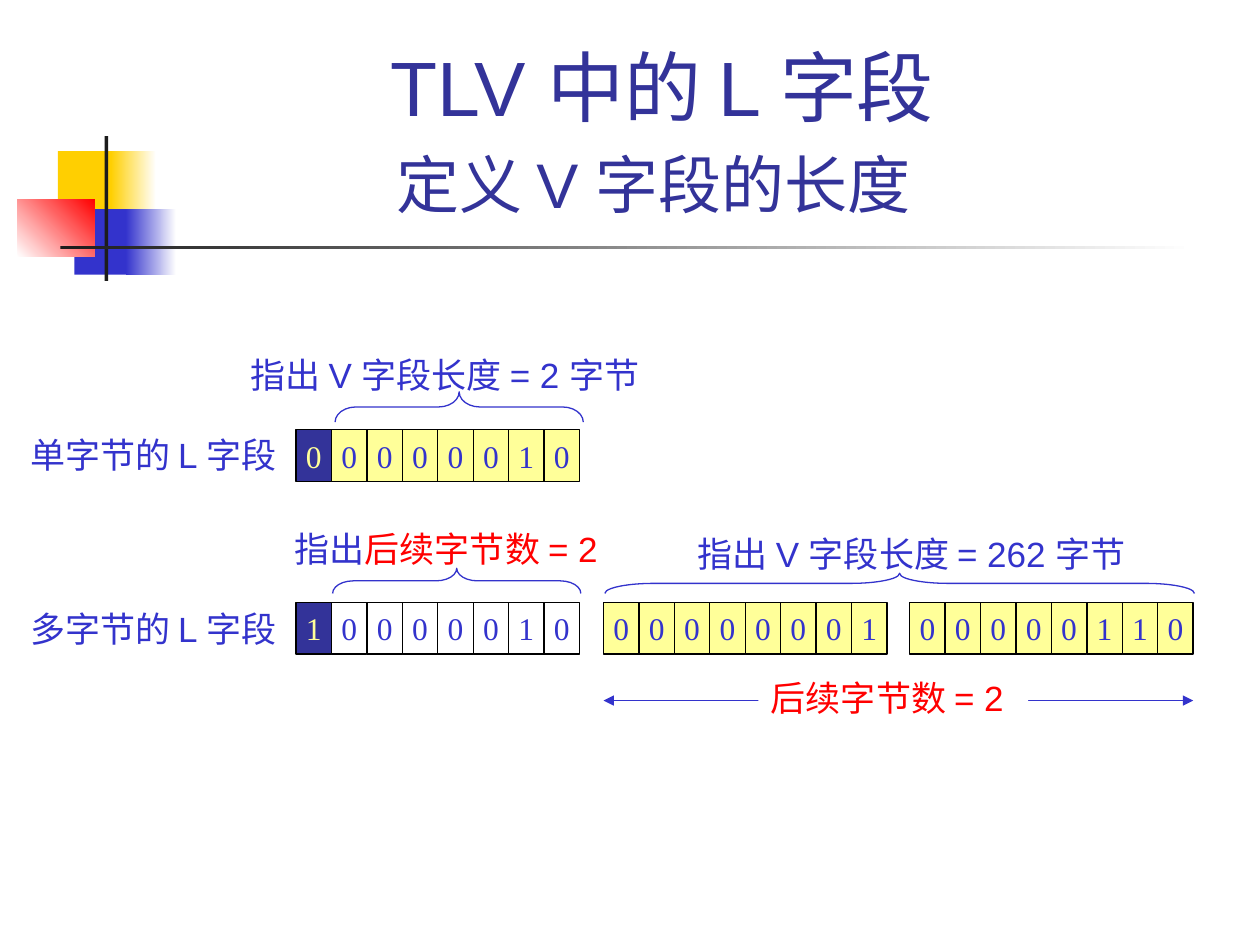
import pptx
import pptx.util
import pptx.dml.color
import pptx.enum.shapes
import pptx.enum.text
import pptx.oxml
import pptx.oxml.ns

COLORS = {
    "white": "FFFFFF", "black": "000000", "ink": "1C1C1C",
    "gold": "FFCF01", "blue": "3333CC", "navy": "333399",
    "red": "FF0000", "pale": "FFFF99",
}
SLIDE_SIZE = (10, 7.5)
CELL_WIDTH, CELL_HEIGHT = 2.25 / 8, 0.41
BYTE_LEFTS = (2.35, 4.79, 7.22)
SINGLE_TOP, MULTI_TOP = 3.41, 4.78

# left, top, width, height, fill colours, gradient angle
ORNAMENTS = [
    (0.46, 1.2, 0.48, 0.52, ["gold"], 0),
    (0.88, 1.2, 0.36, 0.52, ["gold", "white"], 0),
    (0.59, 1.66, 0.46, 0.52, ["blue"], 0),
    (1, 1.66, 0.4, 0.52, ["blue", "white"], 0),
    (0.14, 1.58, 0.61, 0.46, ["white", "red"], 45),
    (0.83, 1.08, 0.03, 1.15, ["ink"], 0),
    (0.48, 1.95, 9, 0.03, ["ink", "white"], 0),
]

# each line holds (text, size, colour) spans
TITLE = [
    [("TLV 中的 L 字段", 44, "navy")],
    [("定义 V 字段的长度", 36, "navy"), (" ", 44, "navy")],
]

# bits, byte column, top, fill, whether the first bit is a flag
BYTES = [
    ("00000010", 0, SINGLE_TOP, "pale", True),
    ("10000010", 0, MULTI_TOP, "white", True),
    ("00000001", 1, MULTI_TOP, "pale", False),
    ("00000110", 2, MULTI_TOP, "pale", False),
]

# left, top, length, depth
BRACES = [(2.66, 3.11, 1.97, 0.24), (2.64, 4.51, 1.97, 0.2), (4.8, 4.55, 4.68, 0.16)]

# left, top, width, wrap, fill, spans
LABELS = [
    (1.89, 2.76, 3.55, False, None, [("指出 V 字段长度 = 2 字节", 20, "blue")]),
    (0.14, 3.39, 2.3, False, None, [("单字节的 L 字段", 20, "blue")]),
    (5.44, 4.18, 3.86, False, None, [("指出 V 字段长度 = 262 字节", 20, "blue")]),
    (0.14, 4.77, 2.3, False, None, [("多字节的 L 字段", 20, "blue")]),
    (2.24, 4.14, 2.91, True, None, [("指出", 20, "blue"), ("后续字节数 = 2", 20, "red")]),
    (6.02, 5.32, 2.14, True, "white", [("后续字节数 = 2", 20, "red")]),
]
LABEL_HEIGHT = 0.44
ARROW = (4.79, 9.47, 5.56)

Shape = pptx.enum.shapes.MSO_SHAPE
Align = pptx.enum.text.PP_ALIGN
Anchor = pptx.enum.text.MSO_ANCHOR
inches = pptx.util.Inches


def rgb(name):
    return pptx.dml.color.RGBColor.from_string(COLORS[name])


def add_shape(page, kind, left, top, width, height, fills=(), angle=0, line=None):
    """Add a preset shape; two fill colours make a gradient."""
    shape = page.shapes.add_shape(kind, *map(inches, (left, top, width, height)))
    shape.shadow.inherit = False
    if len(fills) == 2:
        shape.fill.gradient()
        shape.fill.gradient_angle = angle
        for stop, name in zip(shape.fill.gradient_stops, fills):
            stop.color.rgb = rgb(name)
    elif fills:
        shape.fill.solid()
        shape.fill.fore_color.rgb = rgb(fills[0])
    else:
        shape.fill.background()
    if line:
        shape.line.color.rgb = rgb(line)
        shape.line.width = pptx.util.Pt(0.75)
    else:
        shape.line.fill.background()
    return shape


def write(box, lines, font="Arial", align=Align.LEFT, anchor=Anchor.TOP, wrap=False, grow=False):
    """Fill a box with lines of (text, size, colour) spans."""
    frame = box.text_frame
    frame.word_wrap = wrap
    frame.vertical_anchor = anchor
    if grow:
        frame.auto_size = pptx.enum.text.MSO_AUTO_SIZE.SHAPE_TO_FIT_TEXT
    para = frame.paragraphs[0]
    para.alignment = align
    for number, spans in enumerate(lines):
        if number:
            para.add_line_break()
        for text, size, color in spans:
            span = para.add_run()
            span.text = text
            span.font.name = font
            span.font.size = pptx.util.Pt(size)
            span.font.color.rgb = rgb(color)


def add_byte(page, bits, column, top, fill, flagged):
    for index, bit in enumerate(bits):
        flag = flagged and index == 0
        cell = add_shape(page, Shape.RECTANGLE, BYTE_LEFTS[column] + index * CELL_WIDTH, top,
                         CELL_WIDTH, CELL_HEIGHT, ["navy" if flag else fill], line="black")
        write(cell, [[(bit, 18, "pale" if flag else "blue")]],
              font="Times New Roman", align=Align.CENTER, anchor=Anchor.MIDDLE)


def add_brace(page, left, top, length, depth):
    """Turn a right brace so that it points up over the given area."""
    brace = add_shape(page, Shape.RIGHT_BRACE, left + (length - depth) / 2,
                      top + (depth - length) / 2, depth, length, line="blue")
    brace.rotation = 270
    brace.adjustments[0] = length / 12 / depth


def add_double_arrow(page, start, end, level):
    arrow = page.shapes.add_connector(pptx.enum.shapes.MSO_CONNECTOR.STRAIGHT,
                                      *map(inches, (start, level, end, level)))
    arrow.line.color.rgb = rgb("blue")
    arrow.line.width = pptx.util.Pt(0.75)
    line = arrow.line._get_or_add_ln()
    for tag in ("a:headEnd", "a:tailEnd"):
        tip = pptx.oxml.parse_xml(f'<{tag} {pptx.oxml.ns.nsdecls("a")} type="triangle"/>')
        line.append(tip)
    effects = pptx.oxml.parse_xml(f'<a:effectLst {pptx.oxml.ns.nsdecls("a")}/>')
    line.addnext(effects)


def main():
    deck = pptx.Presentation()
    deck.slide_width, deck.slide_height = map(inches, SLIDE_SIZE)
    page = deck.slides.add_slide(deck.slide_layouts[6])

    for *area, fills, angle in ORNAMENTS:
        add_shape(page, Shape.RECTANGLE, *area, fills, angle)
    title = page.shapes.add_textbox(*map(inches, (1.26, 0.23, 7.99, 1.6)))
    write(title, TITLE, align=Align.CENTER, anchor=Anchor.BOTTOM, wrap=True)

    for byte in BYTES:
        add_byte(page, *byte)
    for brace in BRACES:
        add_brace(page, *brace)
    add_double_arrow(page, *ARROW)

    for left, top, width, wrap, fill, spans in LABELS:
        label = page.shapes.add_textbox(*map(inches, (left, top, width, LABEL_HEIGHT)))
        if fill:
            label.fill.solid()
            label.fill.fore_color.rgb = rgb(fill)
        write(label, [spans], wrap=wrap, grow=True)

    deck.save("out.pptx")


if __name__ == "__main__":
    main()
